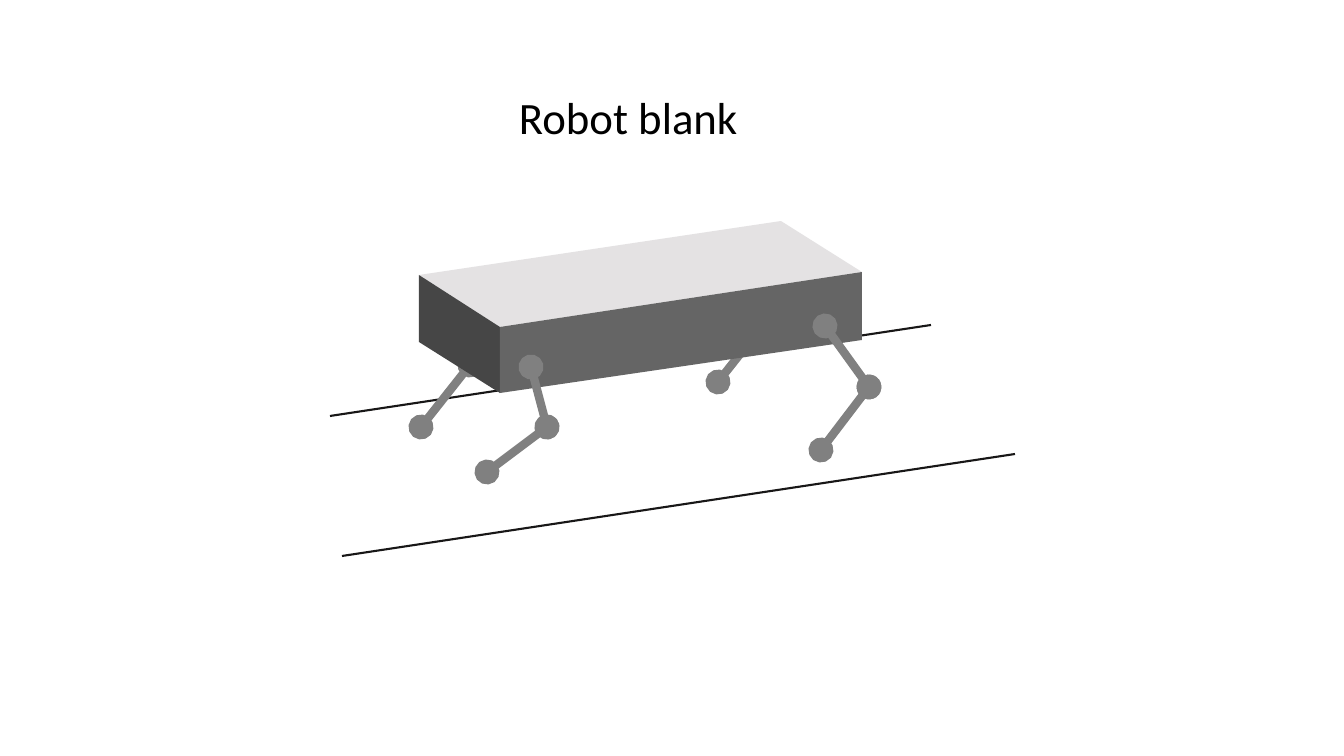
from itertools import pairwise

from lxml.etree import SubElement
from pptx import Presentation
from pptx.dml.color import RGBColor
from pptx.enum.shapes import MSO_CONNECTOR as Connector
from pptx.enum.text import MSO_AUTO_SIZE as AutoSize
from pptx.oxml.ns import qn
from pptx.util import Emu, Pt

EMU_PER_PX = 914400 / 100.8

BLACK = RGBColor(0x00, 0x00, 0x00)
GROUND = RGBColor(0x18, 0x17, 0x17)
LEG = RGBColor(0x80, 0x80, 0x80)
TOP_FACE = RGBColor(0xE4, 0xE2, 0xE3)
SIDE_FACE = RGBColor(0x65, 0x65, 0x65)
END_FACE = RGBColor(0x46, 0x46, 0x46)

GROUND_LINES = [[(342, 556), (1015, 454)], [(330, 416), (931, 325)]]
FAR_LEGS = [[(767, 320), (718, 382)], [(470, 365), (421, 427)]]
NEAR_LEGS = [
    [(531, 367), (547, 427), (487, 472)],
    [(825, 326), (869, 387), (821, 450)],
]
BODY_FACES = [
    ([(419, 275), (781, 221), (862, 272), (500, 327)], TOP_FACE),
    ([(419, 275), (500, 327), (500, 393), (419, 342)], END_FACE),
    ([(500, 327), (862, 272), (862, 340), (500, 393)], SIDE_FACE),
]


def px(length):
    return Emu(round(length * EMU_PER_PX))


def add_line(slide, start, end, color, width):
    line = slide.shapes.add_connector(
        Connector.STRAIGHT, *map(px, start), *map(px, end)
    )
    line.line.color.rgb = color
    line.line.width = Pt(width)
    SubElement(line._element.spPr, qn("a:effectLst"))
    return line


def add_leg(slide, joints):
    for start, end in pairwise(joints):
        limb = add_line(slide, start, end, LEG, 6)
        outline = limb.line._get_or_add_ln()
        for tag in ("a:headEnd", "a:tailEnd"):
            SubElement(outline, qn(tag), type="oval")


def add_face(slide, corners, color):
    builder = slide.shapes.build_freeform(*corners[0], scale=EMU_PER_PX)
    builder.add_line_segments(corners[1:], close=True)
    shape = builder.convert_to_shape()
    shape.shadow.inherit = False
    shape.fill.solid()
    shape.fill.fore_color.rgb = color
    shape.line.fill.background()


def add_title(slide, text, left, top, width, height):
    box = slide.shapes.add_textbox(px(left), px(top), px(width), px(height))
    frame = box.text_frame
    frame.word_wrap = False
    frame.auto_size = AutoSize.SHAPE_TO_FIT_TEXT
    run = frame.paragraphs[0].add_run()
    run.text = text
    run.font.name = "Calibri"
    run.font.size = Pt(32)
    run.font.color.rgb = BLACK


def main():
    presentation = Presentation()
    presentation.slide_width = px(1344)
    presentation.slide_height = px(756)
    slide = presentation.slides.add_slide(presentation.slide_layouts[6])

    for start, end in GROUND_LINES:
        add_line(slide, start, end, GROUND, 1.5)
    for joints in FAR_LEGS:
        add_leg(slide, joints)
    for corners, color in BODY_FACES:
        add_face(slide, corners, color)
    for joints in NEAR_LEGS:
        add_leg(slide, joints)
    add_title(slide, "Robot blank", 509, 85, 241, 65)

    presentation.save("out.pptx")


if __name__ == "__main__":
    main()
